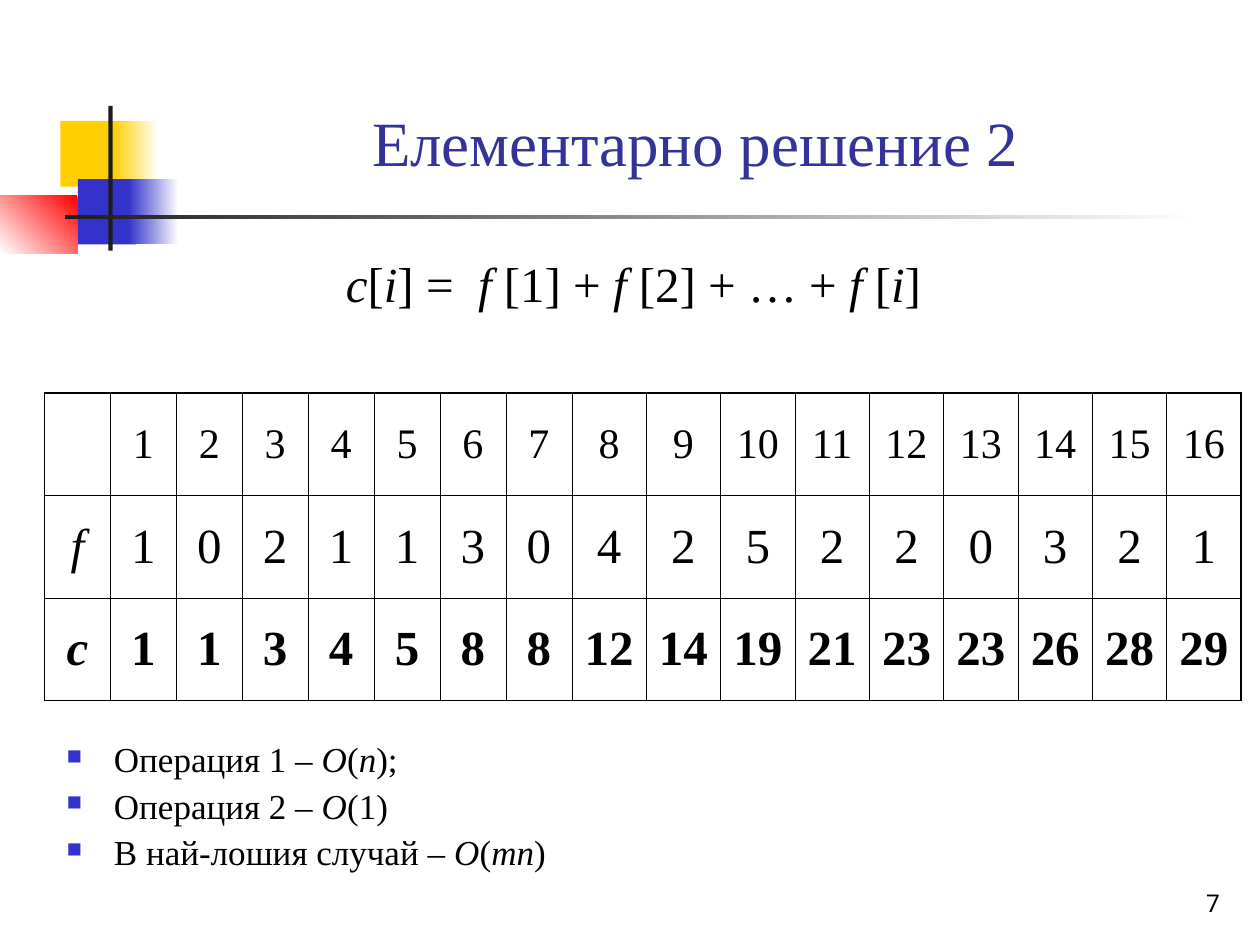
from lxml.etree import SubElement
from pptx import Presentation
from pptx.dml.color import RGBColor
from pptx.enum.shapes import MSO_SHAPE as Shape
from pptx.enum.text import MSO_ANCHOR as Anchor, PP_ALIGN as Align
from pptx.oxml.ns import qn
from pptx.util import Pt

YELLOW = RGBColor(0xFF, 0xCF, 0x01)
BLUE = RGBColor(0x33, 0x33, 0xCC)
RED = RGBColor(0xFF, 0x00, 0x00)
DARK = RGBColor(0x1C, 0x1C, 0x1C)
TITLE_BLUE = RGBColor(0x33, 0x33, 0x99)
BLACK = RGBColor(0x00, 0x00, 0x00)
WHITE = RGBColor(0xFF, 0xFF, 0xFF)

SERIF = "Times New Roman"
THIN, THICK = 0.45, 1.08
NARROW_COLUMNS, NARROW, WIDE = 8, 37.7, 42.5

FORMULA = [("c", True), ("[", False), ("i", True), ("] =  ", False),
           ("f ", True), ("[1] + ", False), ("f ", True),
           ("[2] + … + ", False), ("f ", True), ("[", False),
           ("i", True), ("] ", False)]
COSTS = [
    [("Операция 1 – ", False), ("О", True), ("(", False), ("n", True), (");", False)],
    [("Операция 2 – ", False), ("О", True), ("(1)", False)],
    [("В най-лошия случай – ", False), ("О", True), ("(", False), ("mn", True), (")", False)],
]
FREQUENCIES = [1, 0, 2, 1, 1, 3, 0, 4, 2, 5, 2, 2, 0, 3, 2, 1]
SUMS = [1, 1, 3, 4, 5, 8, 8, 12, 14, 19, 21, 23, 23, 26, 28, 29]


def style(paragraph, size, color=BLACK, font=SERIF, align=Align.LEFT):
    """Set the font and alignment of a paragraph."""
    paragraph.font.size = Pt(size)
    paragraph.font.name = font
    paragraph.font.color.rgb = color
    paragraph.alignment = align


def add_block(slide, box, color, fade_angle=None, stops=None):
    """Add a borderless rectangle, solid or with a two-colour fade."""
    block = slide.shapes.add_shape(Shape.RECTANGLE, *map(Pt, box))
    block.shadow.inherit = False
    block.line.fill.background()
    if stops is None:
        block.fill.solid()
        block.fill.fore_color.rgb = color
        return
    block.fill.gradient()
    block.fill.gradient_angle = fade_angle
    for stop, stop_color, position in zip(block.fill.gradient_stops, stops, (0, 1)):
        stop.color.rgb = stop_color
        stop.position = position


def add_ornament(slide, left, top):
    """Draw the coloured squares, the upright bar and the fading rule."""
    def place(x, y, width, height, *paint):
        add_block(slide, (left + x, top + y, width, height), *paint)

    place(34.5, 8.6, 34.5, 37.5, YELLOW)
    place(64.8, 8.6, 25.9, 37.5, YELLOW, 180, (WHITE, YELLOW))
    place(44.6, 41.8, 33.1, 37.4, BLUE)
    place(73.4, 41.8, 28.8, 37.4, BLUE, 180, (WHITE, BLUE))
    place(0, 51.1, 44.2, 33.1, RED, 225, (RED, WHITE))
    place(61.9, 0, 2.4, 82.8, DARK)
    place(36.9, 62.2, 648, 2.2, DARK, 180, (WHITE, DARK))


def add_line(slide, box, text, size, color, font, align):
    """Add one line of text resting on the bottom of its box."""
    frame = slide.shapes.add_textbox(*map(Pt, box)).text_frame
    frame.word_wrap = True
    frame.vertical_anchor = Anchor.BOTTOM
    line = frame.paragraphs[0]
    line.text = text
    style(line, size, color, font, align)


def add_runs(paragraph, pieces):
    """Fill a paragraph with upright and italic runs."""
    for text, italic in pieces:
        run = paragraph.add_run()
        run.text = text
        run.font.italic = italic


def add_bullet(paragraph):
    """Give a paragraph a small blue square and a hanging indent."""
    properties = paragraph._p.get_or_add_pPr()
    properties.set("marL", str(Pt(27)))
    properties.set("indent", str(-Pt(27)))
    color = SubElement(properties, qn("a:buClr"))
    SubElement(color, qn("a:srgbClr"), val=str(BLUE))
    SubElement(properties, qn("a:buSzPct"), val="60000")
    SubElement(properties, qn("a:buChar"), char="■")


def add_body(slide, box, table_gap):
    """Place the formula and, below a gap for the table, the costs."""
    frame = slide.shapes.add_textbox(*map(Pt, box)).text_frame
    frame.word_wrap = True
    formula = frame.paragraphs[0]
    style(formula, 28, align=Align.CENTER)
    formula.line_spacing = 0.9
    formula.space_before = Pt(7)
    add_runs(formula, FORMULA)
    for index, pieces in enumerate(COSTS):
        cost = frame.add_paragraph()
        style(cost, 20)
        cost.line_spacing = 0.9
        cost.space_before = Pt(5 if index else table_gap)
        add_bullet(cost)
        add_runs(cost, pieces)


def set_borders(cell, widths):
    """Draw the left, right, top and bottom borders of a cell."""
    properties = cell._tc.get_or_add_tcPr()
    for side, width in zip("LRTB", widths):
        border = SubElement(properties, qn(f"a:ln{side}"), w=str(Pt(width)))
        fill = SubElement(border, qn("a:solidFill"))
        SubElement(fill, qn("a:srgbClr"), val=str(BLACK))


def add_sums_table(slide, left, top, row_height):
    """Build the table of indices, frequencies and running sums."""
    rows = [["", *range(1, len(SUMS) + 1)], ["f", *FREQUENCIES], ["c", *SUMS]]
    last_row, last_column = len(rows) - 1, len(SUMS)
    widths = [NARROW if column < NARROW_COLUMNS else WIDE
              for column in range(last_column + 1)]
    table = slide.shapes.add_table(
        len(rows), len(widths), Pt(left), Pt(top),
        Pt(sum(widths)), Pt(row_height * len(rows))).table
    table.first_row = table.horz_banding = False
    for column, width in zip(table.columns, widths):
        column.width = Pt(width)
    for r, values in enumerate(rows):
        table.rows[r].height = Pt(row_height)
        for c, value in enumerate(values):
            cell = table.cell(r, c)
            cell.vertical_anchor = Anchor.MIDDLE
            edges = (c == 0, c == last_column, r == 0, r == last_row)
            set_borders(cell, [THICK if edge else THIN for edge in edges])
            cell.fill.background()
            entry = cell.text_frame.paragraphs[0]
            entry.text = str(value)
            style(entry, 28 if r else 24, align=Align.CENTER)
            entry.space_before = Pt(7 if r else 6)
            entry.font.bold = r == last_row
            entry.font.italic = r > 0 and c == 0


def main():
    """Build the slide and save it."""
    deck = Presentation()
    deck.slide_width, deck.slide_height = Pt(720), Pt(540)
    slide = deck.slides.add_slide(deck.slide_layouts[6])
    add_ornament(slide, 0, 60.5)
    add_line(slide, (90.7, 54.7, 613.4, 51.1), "Елементарнo решениe 2",
             36, TITLE_BLUE, SERIF, Align.CENTER)
    add_body(slide, (31, 145.4, 668.9, 380.2), 245)
    add_sums_table(slide, 25.4, 224.6, 58.6)
    add_line(slide, (554.4, 491.8, 149.8, 36), "7", 14, BLACK, "Roboto", Align.RIGHT)
    deck.save("out.pptx")


if __name__ == "__main__":
    main()
